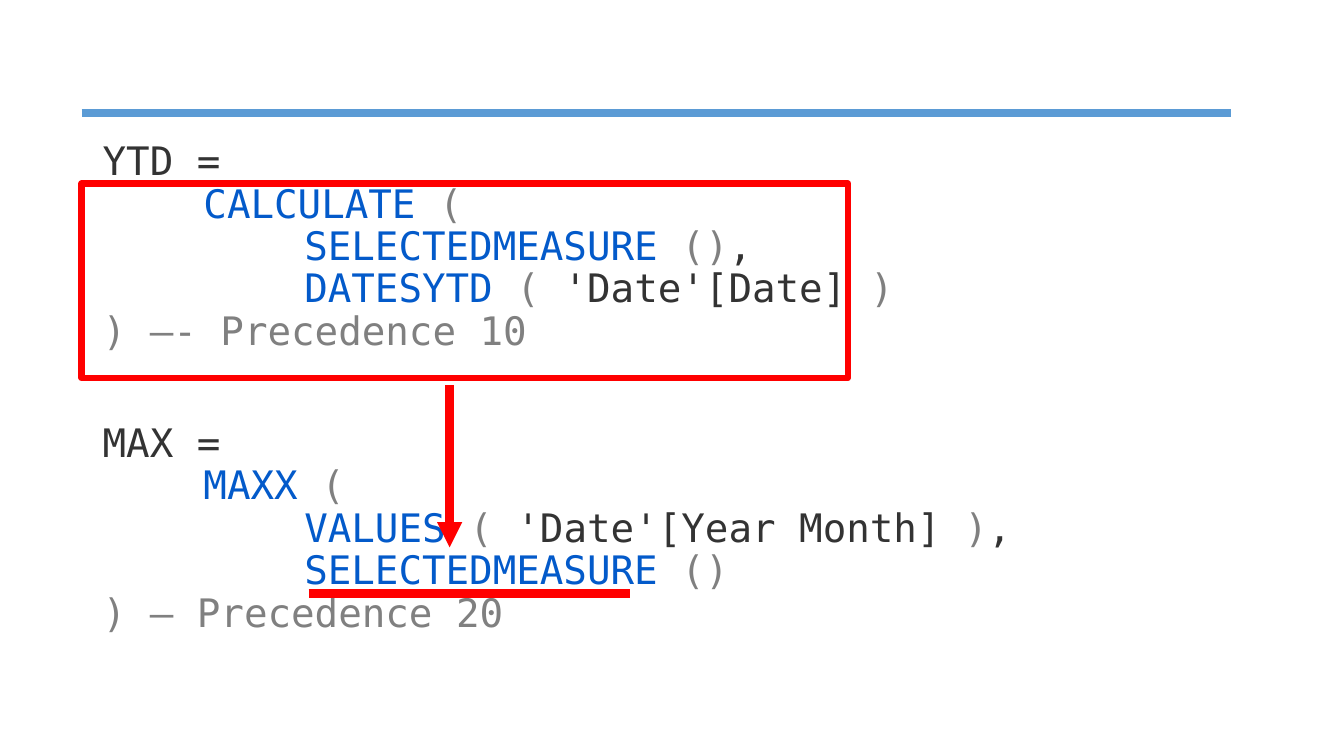
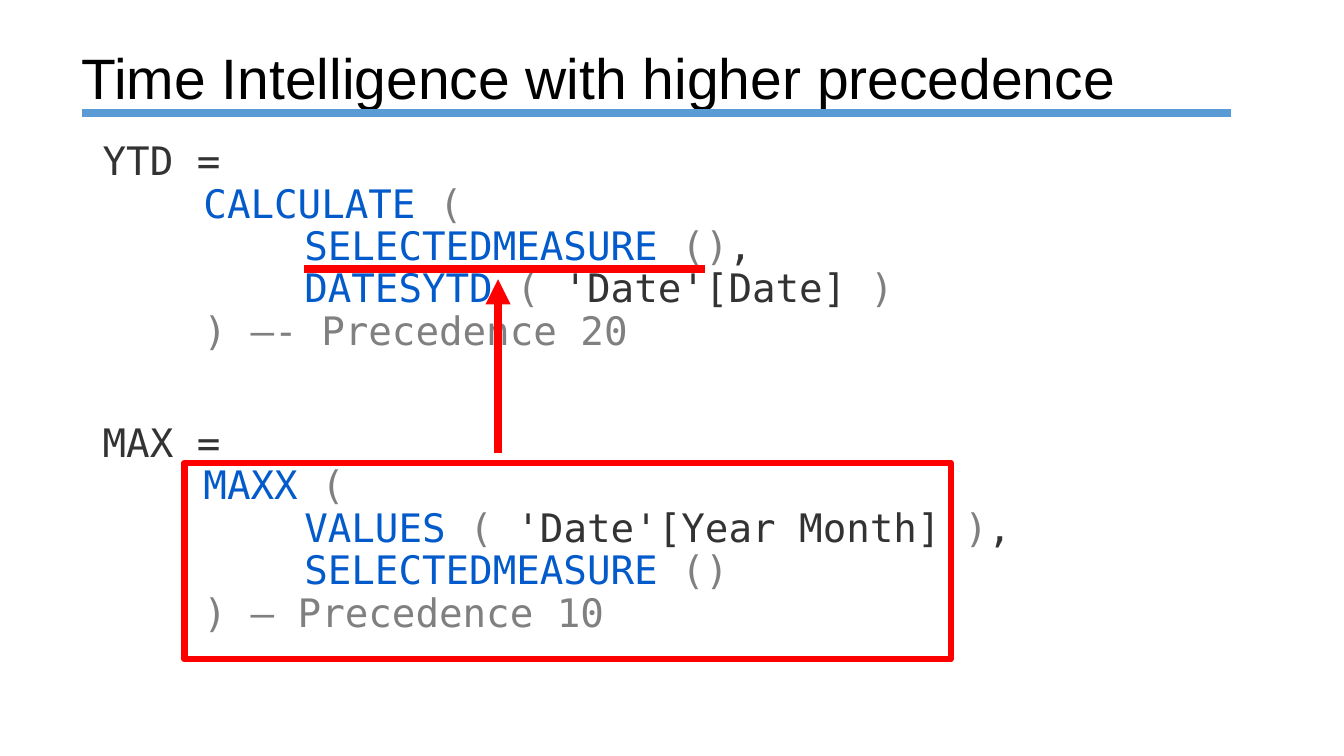
from pptx import Presentation
from pptx.dml.color import RGBColor
from pptx.enum.shapes import MSO_CONNECTOR, MSO_SHAPE
from pptx.enum.text import MSO_ANCHOR, MSO_AUTO_SIZE, PP_ALIGN
from pptx.oxml.ns import qn
from pptx.util import Emu, Pt
from lxml import etree

STRAIGHT = MSO_CONNECTOR.STRAIGHT
RECTANGLE = MSO_SHAPE.RECTANGLE
MIDDLE, TOP = MSO_ANCHOR.MIDDLE, MSO_ANCHOR.TOP
NO_FIT = MSO_AUTO_SIZE.NONE
LEFT = PP_ALIGN.LEFT

BLUE = RGBColor(0x5B, 0x9B, 0xD5)
RED = RGBColor(0xFF, 0x00, 0x00)
BLACK = RGBColor(0x00, 0x00, 0x00)
NAME = RGBColor(0x03, 0x5A, 0xCA)
PLAIN = RGBColor(0x33, 0x33, 0x33)
GREY = RGBColor(0x80, 0x80, 0x80)

EMU_PER_PX = 9144  # 100 px to the inch
TITLE_ONLY, BLANK = 5, 6


def px(length):
    return Emu(length * EMU_PER_PX)


class Deck:
    title_font, title_size = "Arial", Pt(40.7)
    code_font, code_size = "DejaVu Sans Mono", Pt(28)
    line_spacing = 0.9
    code_tabs = (100, 200)

    def __init__(self):
        self.presentation = Presentation()
        self.presentation.slide_width = px(1333)
        self.presentation.slide_height = px(750)
        self.slide = None

    def add_slide(self, title=None):
        layout = self.presentation.slide_layouts[TITLE_ONLY if title else BLANK]
        self.slide = self.presentation.slides.add_slide(layout)
        if title:
            self.title(title)
        self.line((81, 112), (1221, 112), BLUE)

    def title(self, text):
        heading = self.slide.shapes.title
        heading.left, heading.top = px(71), px(25)
        heading.width, heading.height = px(1150), px(111)
        frame = heading.text_frame
        frame.text = text
        frame.auto_size, frame.vertical_anchor = NO_FIT, MIDDLE
        paragraph = frame.paragraphs[0]
        paragraph.alignment, paragraph.line_spacing = LEFT, self.line_spacing
        font = paragraph.runs[0].font
        font.name, font.size = self.title_font, self.title_size
        font.color.rgb = BLACK

    def code(self, *measures):
        """Write each measure, a list of lines of (text, colour), as a paragraph."""
        box = self.slide.shapes.add_textbox(px(92), px(136), px(1150), px(539))
        frame = box.text_frame
        frame.word_wrap, frame.vertical_anchor = True, TOP
        for index, measure in enumerate(measures):
            paragraph = frame.add_paragraph() if index else frame.paragraphs[0]
            self.set_tabs(paragraph)
            paragraph.line_spacing = self.line_spacing
            if index:
                paragraph.space_before = Pt(50)
            for number, line in enumerate(measure):
                if number:
                    paragraph.add_line_break()
                for text, colour in line:
                    run = paragraph.add_run()
                    run.text = text
                    run.font.name, run.font.size = self.code_font, self.code_size
                    run.font.color.rgb = colour

    def set_tabs(self, paragraph):
        stops = etree.SubElement(paragraph._p.get_or_add_pPr(), qn("a:tabLst"))
        for position in self.code_tabs:
            etree.SubElement(stops, qn("a:tab"), pos=str(px(position)), algn="l")

    def line(self, start, end, colour=RED, arrow=False):
        connector = self.slide.shapes.add_connector(
            STRAIGHT, *map(px, start), *map(px, end))
        connector.line.color.rgb = colour
        connector.line.width = Pt(6)
        if arrow:
            etree.SubElement(connector.line._get_or_add_ln(), qn("a:tailEnd"),
                             type="triangle")
        etree.SubElement(connector._element.spPr, qn("a:effectLst"))

    def frame(self, left, top, width, height):
        outline = self.slide.shapes.add_shape(
            RECTANGLE, px(left), px(top), px(width), px(height))
        outline.shadow.inherit = False
        outline.fill.background()
        outline.line.color.rgb = RED
        outline.line.width = Pt(4.5)


def ytd(closing):
    return [
        [("YTD =", PLAIN)],
        [("\tCALCULATE", NAME), (" (", GREY)],
        [("\t\tSELECTEDMEASURE", NAME), (" ()", GREY), (",", PLAIN)],
        [("\t\tDATESYTD", NAME), (" (", GREY), (" 'Date'[Date] ", PLAIN), (")", GREY)],
        [(closing, GREY)],
    ]


def maximum(closing):
    return [
        [("MAX =", PLAIN)],
        [("\tMAXX", NAME), (" (", GREY)],
        [("\t\tVALUES", NAME), (" (", GREY), (" 'Date'[Year Month] ", PLAIN),
         (")", GREY), (",", PLAIN)],
        [("\t\tSELECTEDMEASURE", NAME), (" ()", GREY)],
        [(closing, GREY)],
    ]


def main():
    deck = Deck()

    deck.add_slide()
    deck.code(ytd(") –- Precedence 10"), maximum(") – Precedence 20"))
    deck.line((306, 589), (625, 589))
    deck.frame(81, 182, 760, 193)
    deck.line((446, 382), (446, 543), arrow=True)

    deck.add_slide("Time Intelligence with higher precedence")
    deck.code(ytd("\t) –- Precedence 20"), maximum("\t) – Precedence 10"))
    deck.line((302, 267), (699, 267))
    deck.frame(183, 459, 760, 195)
    deck.line((494, 449), (494, 277), arrow=True)

    deck.presentation.save("out.pptx")


if __name__ == "__main__":
    main()
